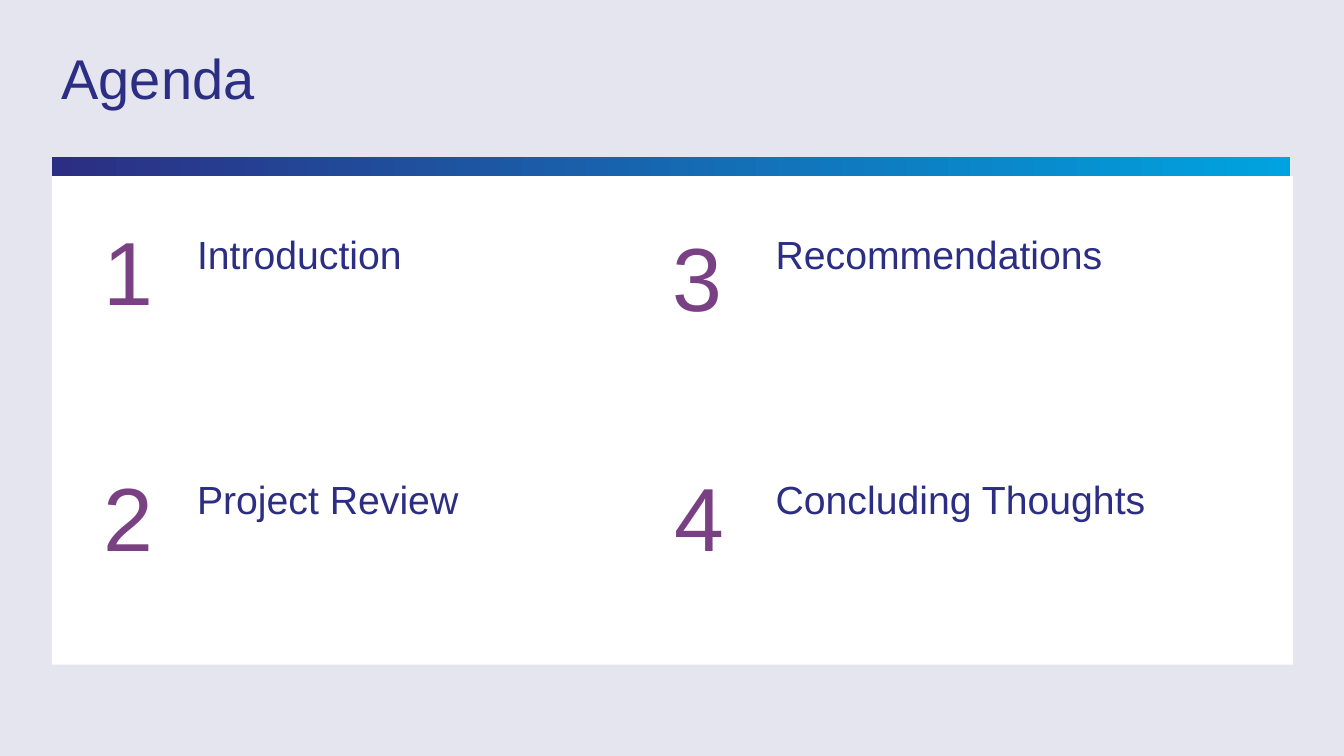
import pptx
import pptx.dml.color
import pptx.enum.shapes
import pptx.enum.text
import pptx.oxml.ns
import pptx.util
from lxml import etree

EMU_PER_PX = 9144  # 100 px to the inch
SLIDE_WIDTH, SLIDE_HEIGHT = 2667, 1500
NAVY, SKY, PURPLE, WHITE = "2C2E83", "00A3E0", "794183", "FFFFFF"
FONT = "Arial"

# Number, number position, label, label position
AGENDA = [
    ("1", (178, 401), "Introduction", (371, 471)),
    ("2", (178, 890), "Project Review", (371, 957)),
    ("3", (1307, 414), "Recommendations", (1519, 471)),
    ("4", (1311, 890), "Concluding Thoughts", (1519, 957)),
]


def px(length):
    return pptx.util.Emu(length * EMU_PER_PX)


def color(value):
    return pptx.dml.color.RGBColor.from_string(value)


def add_rectangle(slide, left, top, width, height, fill):
    shape = slide.shapes.add_shape(
        pptx.enum.shapes.MSO_SHAPE.RECTANGLE, px(left), px(top), px(width), px(height))
    shape.shadow.inherit = False
    shape.line.fill.background()
    shape.fill.solid()
    shape.fill.fore_color.rgb = color(fill)
    return shape


def set_opacity(shape, percent):
    qualified = pptx.oxml.ns.qn
    fill_color = shape.element.spPr.find(qualified("a:solidFill")).find(qualified("a:srgbClr"))
    etree.SubElement(fill_color, qualified("a:alpha"), val=str(percent * 1000))


def set_gradient(shape, start, end):
    shape.fill.gradient()
    shape.fill.gradient_angle = 0
    for stop, value in zip(shape.fill.gradient_stops, (start, end)):
        stop.color.rgb = color(value)


def write_text(shape, text, size, value, insets, anchor):
    frame = shape.text_frame
    frame.word_wrap = True
    frame.auto_size = pptx.enum.text.MSO_AUTO_SIZE.NONE
    frame.vertical_anchor = anchor
    frame.margin_left = frame.margin_right = px(insets[0])
    frame.margin_top = frame.margin_bottom = px(insets[1])
    paragraph = frame.paragraphs[0]
    paragraph.alignment = pptx.enum.text.PP_ALIGN.LEFT
    paragraph.space_before = pptx.util.Pt(0)
    run = paragraph.add_run()
    run.text = text
    run.font.name = FONT
    run.font.size = pptx.util.Pt(size)
    run.font.bold = False
    run.font.color.rgb = color(value)
    return paragraph


def place_in_front(placeholder, left, top, width, height):
    placeholder.left, placeholder.top = px(left), px(top)
    placeholder.width, placeholder.height = px(width), px(height)
    placeholder.element.getparent().append(placeholder.element)


def add_title(slide, text):
    title = slide.shapes.title
    place_in_front(title, 95, 60, 1462, 151)
    write_text(title, text, 80, NAVY, (27, 27), pptx.enum.text.MSO_ANCHOR.TOP)


def add_number(slide, text, left, top):
    box = slide.shapes.add_textbox(px(left), px(top), px(198), px(189))
    write_text(box, text, 128, PURPLE, (27, 27), pptx.enum.text.MSO_ANCHOR.TOP)


def add_label(placeholder, text, left, top):
    place_in_front(placeholder, left, top, 910, 76)
    paragraph = write_text(
        placeholder, text, 56, NAVY, (20, 10), pptx.enum.text.MSO_ANCHOR.MIDDLE)
    paragraph.line_spacing = 0.9
    properties = paragraph._p.get_or_add_pPr()
    properties.set("marL", "0")
    properties.set("indent", "0")
    etree.SubElement(properties, pptx.oxml.ns.qn("a:buNone"))


def main():
    presentation = pptx.Presentation()
    presentation.slide_width = px(SLIDE_WIDTH)
    presentation.slide_height = px(SLIDE_HEIGHT)
    # The comparison layout has a title and four bodies
    slide = presentation.slides.add_slide(presentation.slide_layouts[4])
    bodies = list(slide.placeholders)[1:]

    # Tinted backdrop and title
    set_opacity(add_rectangle(slide, 0, 0, SLIDE_WIDTH, SLIDE_HEIGHT, NAVY), 12)
    add_title(slide, "Agenda")

    # White panel with gradient bar
    add_rectangle(slide, 103, 349, 2463, 970, WHITE)
    set_gradient(add_rectangle(slide, 103, 311, 2457, 38, NAVY), NAVY, SKY)

    # Agenda items
    for body, (number, number_at, label, label_at) in zip(bodies, AGENDA):
        add_number(slide, number, *number_at)
        add_label(body, label, *label_at)

    presentation.save("out.pptx")


if __name__ == "__main__":
    main()
